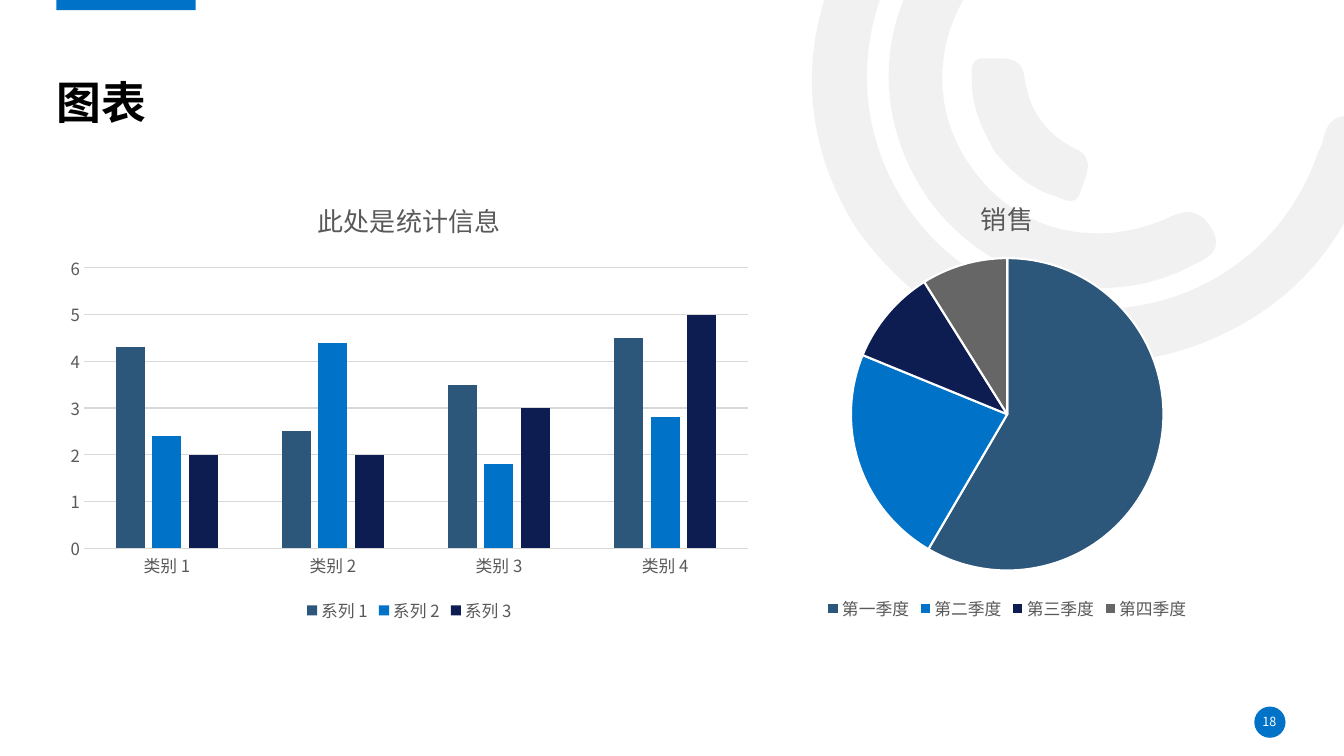
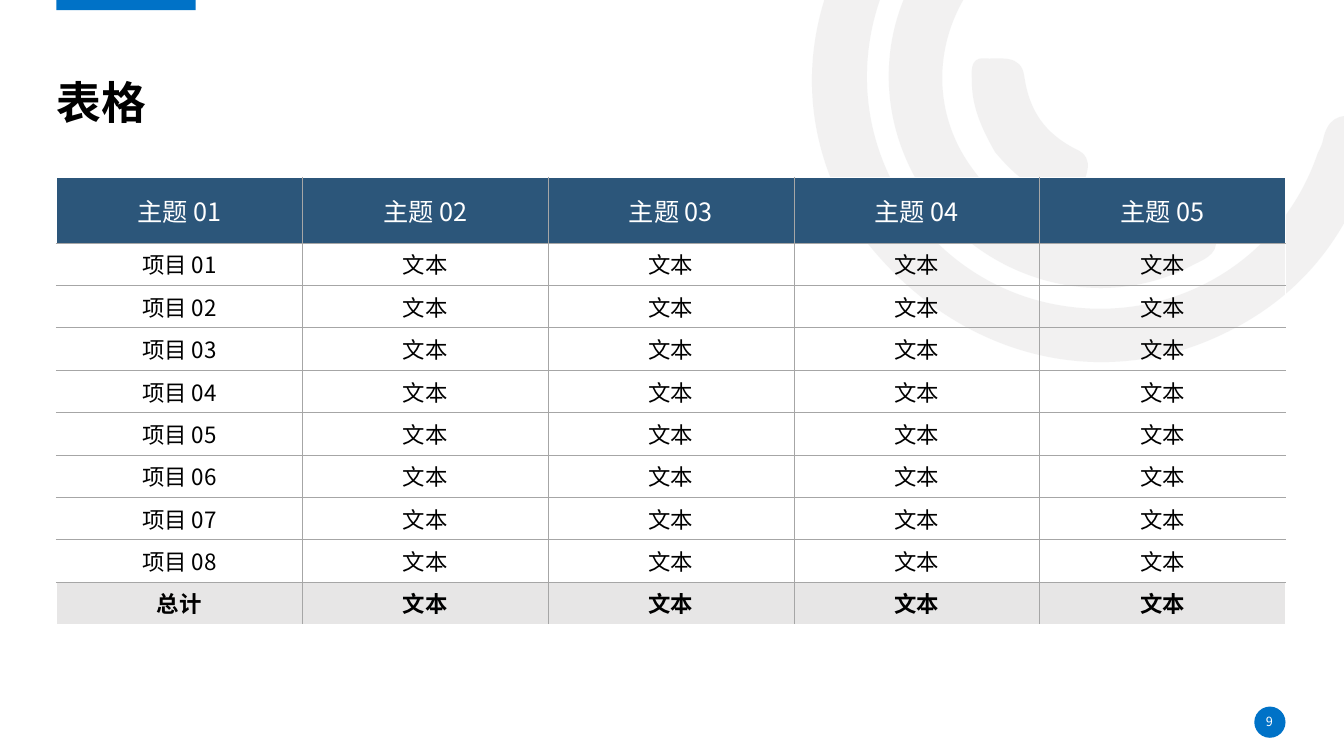
from pptx import Presentation
from pptx.chart.data import CategoryChartData
from pptx.dml.color import RGBColor
from pptx.enum.chart import XL_CHART_TYPE, XL_LEGEND_POSITION, XL_TICK_MARK
from pptx.enum.shapes import MSO_SHAPE
from pptx.enum.text import MSO_ANCHOR, MSO_AUTO_SIZE, PP_ALIGN
from pptx.oxml.ns import qn
from pptx.util import Inches, Pt
from lxml.etree import SubElement

FACE = "Noto Sans CJK SC"
BLACK = RGBColor(0x00, 0x00, 0x00)
WHITE = RGBColor(0xFF, 0xFF, 0xFF)
SLATE = RGBColor(0x2C, 0x56, 0x7A)
BLUE = RGBColor(0x00, 0x72, 0xC7)
NAVY = RGBColor(0x0D, 0x1D, 0x51)
GRAY = RGBColor(0x66, 0x66, 0x66)
INK = RGBColor(0x59, 0x59, 0x59)
GRID = RGBColor(0xD9, 0xD9, 0xD9)
RULE = RGBColor(0xA6, 0xA6, 0xA6)
PALE = RGBColor(0xE7, 0xE6, 0xE6)
HUES = [SLATE, BLUE, NAVY, GRAY]

TITLE = {"size": Pt(32), "bold": True, "color": BLACK}
PAGE = {"size": Pt(9), "bold": False, "color": WHITE}
HEAD = {"size": Pt(18), "bold": False, "color": WHITE}
BODY = {"size": Pt(16), "bold": False, "color": BLACK}
TOTAL = {"size": Pt(16), "bold": True, "color": BLACK}
LABEL = {"size": Pt(12), "bold": False, "color": INK}
NAME = {"size": Pt(18.6), "bold": False, "color": INK}

LEFT, WIDE = 0.56, 12.19

ARCS = [
    [(8.51, 2.29),
     (7.99, 1.49), (7.87, 0.5), (8.38, -0.5), (8.9, -1.52), (9.76, -2.03), (10.9, -2.07),
     (11.05, -2.07), (11.21, -2.1), (11.31, -1.95), (11.44, -1.75), (11.27, -1.54), (10.98, -1.54),
     (9.67, -1.54), (8.65, -0.59), (8.6, 0.68), (8.56, 1.81), (9.36, 2.81), (10.46, 3.02),
     (11.6, 3.24), (12.7, 2.61), (13.07, 1.52), (13.09, 1.48), (13.11, 1.44), (13.12, 1.4),
     (13.16, 1.19), (13.27, 1.11), (13.49, 1.17), (13.73, 1.24), (13.67, 1.41), (13.61, 1.56),
     (13.34, 2.45), (12.78, 3.07), (11.91, 3.41), (10.7, 3.87), (9.36, 3.45), (8.51, 2.29)],
    [(9.22, 1.99),
     (8.62, 1.15), (8.69, 0.07), (9.4, -0.68), (9.51, -0.79), (9.62, -0.95), (9.8, -0.78),
     (9.95, -0.64), (9.97, -0.5), (9.79, -0.32), (9.25, 0.26), (9.2, 1.08), (9.65, 1.68),
     (10.08, 2.29), (10.88, 2.49), (11.61, 2.15), (11.82, 2.05), (11.93, 2.12), (12.03, 2.29),
     (12.13, 2.5), (11.97, 2.56), (11.83, 2.63), (10.96, 3.1), (9.83, 2.82), (9.22, 1.99)],
    [(9.87, 1.51),
     (9.75, 1.3), (9.64, 1.07), (9.64, 0.82), (9.64, 0.73), (9.61, 0.57), (9.76, 0.58),
     (9.92, 0.59), (10.13, 0.53), (10.16, 0.76), (10.21, 1.1), (10.36, 1.32), (10.67, 1.48),
     (10.88, 1.57), (10.76, 1.76), (10.72, 1.89), (10.68, 2.06), (10.55, 1.98), (10.45, 1.94),
     (10.21, 1.87), (10.03, 1.7), (9.87, 1.51)],
]


def box(left, top, width, height):
    """Return the four lengths in inches."""
    return [Inches(n) for n in (left, top, width, height)]


def style(font, form):
    """Set a font from a dict of format values."""
    for key, value in form.items():
        if key == "color":
            font.color.rgb = value
        else:
            setattr(font, key, value)
    font.name = FACE
    props = font._rPr
    if props.find(qn("a:ea")) is None:
        props.find(qn("a:latin")).addnext(props.makeelement(qn("a:ea"), {"typeface": FACE}))


def write(frame, text, form, align):
    """Write one styled line in a text frame."""
    line = frame.paragraphs[0]
    line.alignment = align
    run = line.add_run()
    run.text = text
    style(run.font, form)
    return line


def strip(frame, anchor):
    """Clear the insets of a text frame and anchor it."""
    values = {"margin_left": 0, "margin_right": 0, "margin_top": 0, "margin_bottom": 0,
              "word_wrap": True, "auto_size": MSO_AUTO_SIZE.NONE, "vertical_anchor": anchor}
    for key, value in values.items():
        setattr(frame, key, value)


def paint(shape, color):
    """Give a shape a plain fill with no line or shadow."""
    shape.shadow.inherit = False
    shape.fill.solid()
    shape.fill.fore_color.rgb = color
    shape.line.fill.background()
    return shape


def bend(shape):
    """Turn each three line segments of an outline into one cubic curve."""
    lines = list(shape._element.spPr.iter(qn("a:lnTo")))
    for n in range(0, len(lines), 3):
        curve = lines[n].makeelement(qn("a:cubicBezTo"), {})
        lines[n].addprevious(curve)
        for line in lines[n:n + 3]:
            curve.append(line[0])
            line.getparent().remove(line)


def swirl(shapes, spots):
    """Draw one pale arc through its curve points."""
    unit = 1000
    dots = [(round(x * unit), round(y * unit)) for x, y in spots]
    pen = shapes.build_freeform(*dots[0], scale=Inches(1) / unit)
    pen.add_line_segments(dots[1:], close=True)
    arc = paint(pen.convert_to_shape(), PALE)
    bend(arc)
    tint = next(arc._element.spPr.iter(qn("a:srgbClr")))
    SubElement(tint, qn("a:alpha"), val="53000")
    return arc


def brand(deck, layout):
    """Put the arcs, the top bar and the page disc on the layout."""
    shapes = deck.slides[0].shapes
    parts = [swirl(shapes, spots) for spots in ARCS]
    for kind, place in ((MSO_SHAPE.RECTANGLE, (LEFT, -0.02, 1.38, 0.12)),
                        (MSO_SHAPE.OVAL, (12.44, 7.01, 0.31, 0.31))):
        parts.append(paint(shapes.add_shape(kind, *box(*place)), BLUE))
    for part in parts:
        layout.shapes._spTree.append(part._element)


def start(deck, layout, title, page):
    """Add a slide with its title and page number."""
    slide = deck.slides.add_slide(layout)
    head = slide.shapes.title
    head.left, head.top, head.width, head.height = box(LEFT, 0.27, WIDE, 1.01)
    strip(head.text_frame, MSO_ANCHOR.BOTTOM)
    write(head.text_frame, title, TITLE, PP_ALIGN.LEFT).line_spacing = 0.9
    note = slide.shapes.add_textbox(*box(12.43, 7.06, 0.32, 0.2))
    strip(note.text_frame, MSO_ANCHOR.MIDDLE)
    write(note.text_frame, page, PAGE, PP_ALIGN.CENTER)
    return slide


def plot(slide, kind, place, title, cats, series):
    """Add a chart with a title and a legend below."""
    data = CategoryChartData()
    data.categories = cats
    for name, values in series:
        data.add_series(name, values)
    chart = slide.shapes.add_chart(kind, *box(*place), data).chart
    style(chart.font, LABEL)
    chart.has_title = True
    write(chart.chart_title.text_frame, title, NAME, PP_ALIGN.CENTER)
    chart.chart_title.include_in_layout = False
    chart.has_legend = True
    chart.legend.position = XL_LEGEND_POSITION.BOTTOM
    chart.legend.include_in_layout = False
    style(chart.legend.font, LABEL)
    return chart


def fill(part, color):
    """Fill a series or point with one colour."""
    part.format.fill.solid()
    part.format.fill.fore_color.rgb = color


def stroke(line, color, width):
    """Set the colour and width of a line."""
    line.color.rgb = color
    line.width = Pt(width)


def columns(slide):
    """Add the clustered column chart."""
    chart = plot(slide, XL_CHART_TYPE.COLUMN_CLUSTERED, (LEFT, 1.77, 7, 4.45), "此处是统计信息",
                 [f"类别 {n}" for n in range(1, 5)],
                 [("系列 1", (4.3, 2.5, 3.5, 4.5)), ("系列 2", (2.4, 4.4, 1.8, 2.8)),
                  ("系列 3", (2, 2, 3, 5))])
    bars = chart.plots[0]
    bars.gap_width, bars.overlap, bars.vary_by_categories = 219, -27, False
    for part, color in zip(bars.series, HUES):
        fill(part, color)
    for axis in (chart.category_axis, chart.value_axis):
        axis.major_tick_mark = axis.minor_tick_mark = XL_TICK_MARK.NONE
        style(axis.tick_labels.font, LABEL)
    stroke(chart.category_axis.format.line, GRID, 0.75)
    chart.value_axis.format.line.fill.background()
    stroke(chart.value_axis.major_gridlines.format.line, GRID, 0.75)


def pie(slide):
    """Add the pie chart."""
    chart = plot(slide, XL_CHART_TYPE.PIE, (6.65, 1.75, 6.68, 4.45), "销售",
                 ["第一季度", "第二季度", "第三季度", "第四季度"], [("销售", (59, 23, 10, 9))])
    chart.plots[0].vary_by_categories = True
    for n, color in enumerate(HUES):
        point = chart.plots[0].series[0].points[n]
        fill(point, color)
        stroke(point.format.line, WHITE, 1.5)


def border(cell, edges):
    """Draw white outer edges and thin gray inner edges."""
    props = cell._tc.get_or_add_tcPr()
    for side, outer in edges.items():
        color, width = (WHITE, 1) if outer else (RULE, 0.5)
        line = SubElement(props, qn(f"a:ln{side}"), w=str(Pt(width)))
        SubElement(SubElement(line, qn("a:solidFill")), qn("a:srgbClr"), val=str(color))


def table(slide, rows):
    """Add the table with a header row and a total row."""
    high, wide = len(rows), len(rows[0])
    tall, low = 0.65, 0.41
    grid = slide.shapes.add_table(
        high, wide, *box(LEFT, 1.76, WIDE, tall + low * (high - 1))).table
    grid.horz_banding = False
    for r, row in enumerate(rows):
        first, last = r == 0, r == high - 1
        form, back = (HEAD, SLATE) if first else (TOTAL, PALE) if last else (BODY, None)
        grid.rows[r].height = Inches(tall if first else low)
        for c, text in enumerate(row):
            cell = grid.cell(r, c)
            border(cell, {"L": c == 0, "R": c == wide - 1, "T": first, "B": last})
            if back is None:
                cell.fill.background()
            else:
                cell.fill.solid()
                cell.fill.fore_color.rgb = back
            cell.vertical_anchor = MSO_ANCHOR.MIDDLE
            write(cell.text_frame, text, form, PP_ALIGN.CENTER)


def main():
    """Build and save the deck."""
    deck = Presentation()
    deck.slide_width, deck.slide_height = Inches(13.33), Inches(7.5)
    layout = deck.slide_layouts[5]
    slide = start(deck, layout, "图表", "18")
    brand(deck, layout)
    columns(slide)
    pie(slide)
    slide = start(deck, layout, "表格", "9")
    names = [f"项目 {n:02}" for n in range(1, 9)] + ["总计"]
    table(slide, [[f"主题 {n:02}" for n in range(1, 6)]] + [[name] + ["文本"] * 4 for name in names])
    deck.save("out.pptx")


if __name__ == "__main__":
    main()
